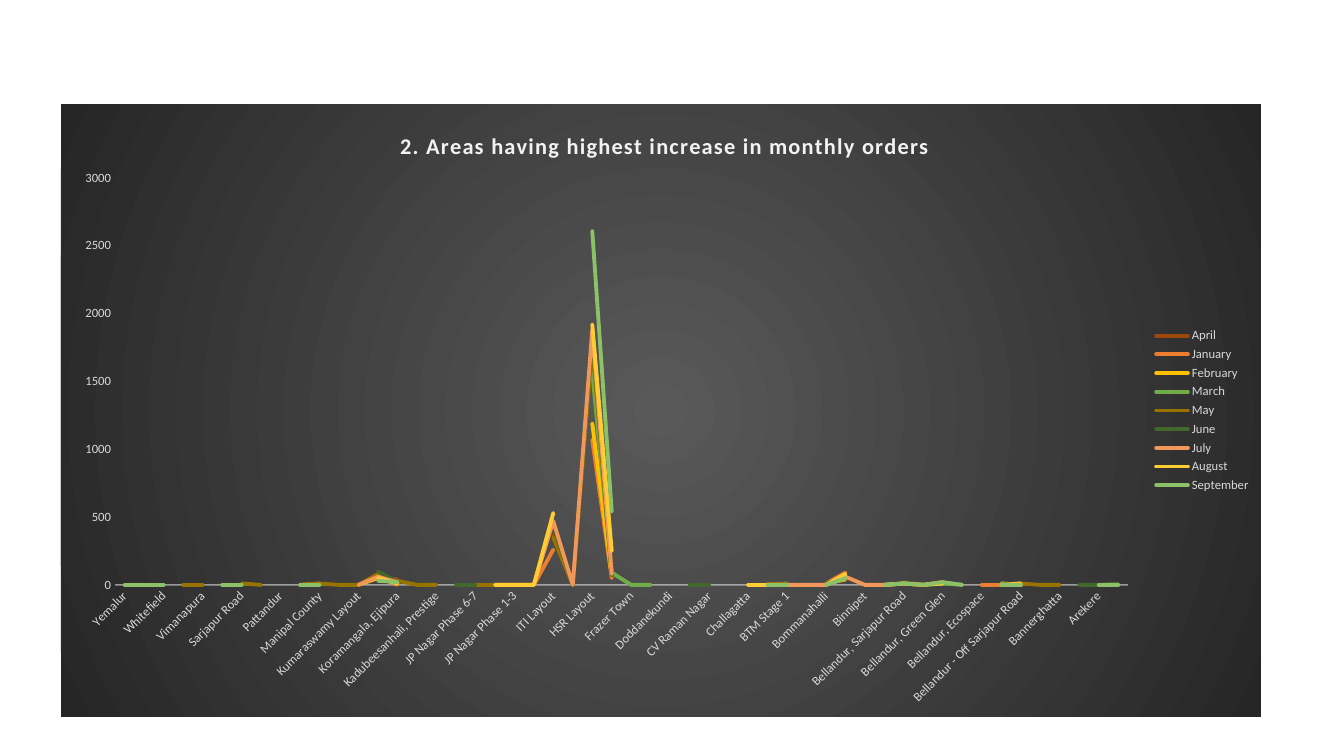
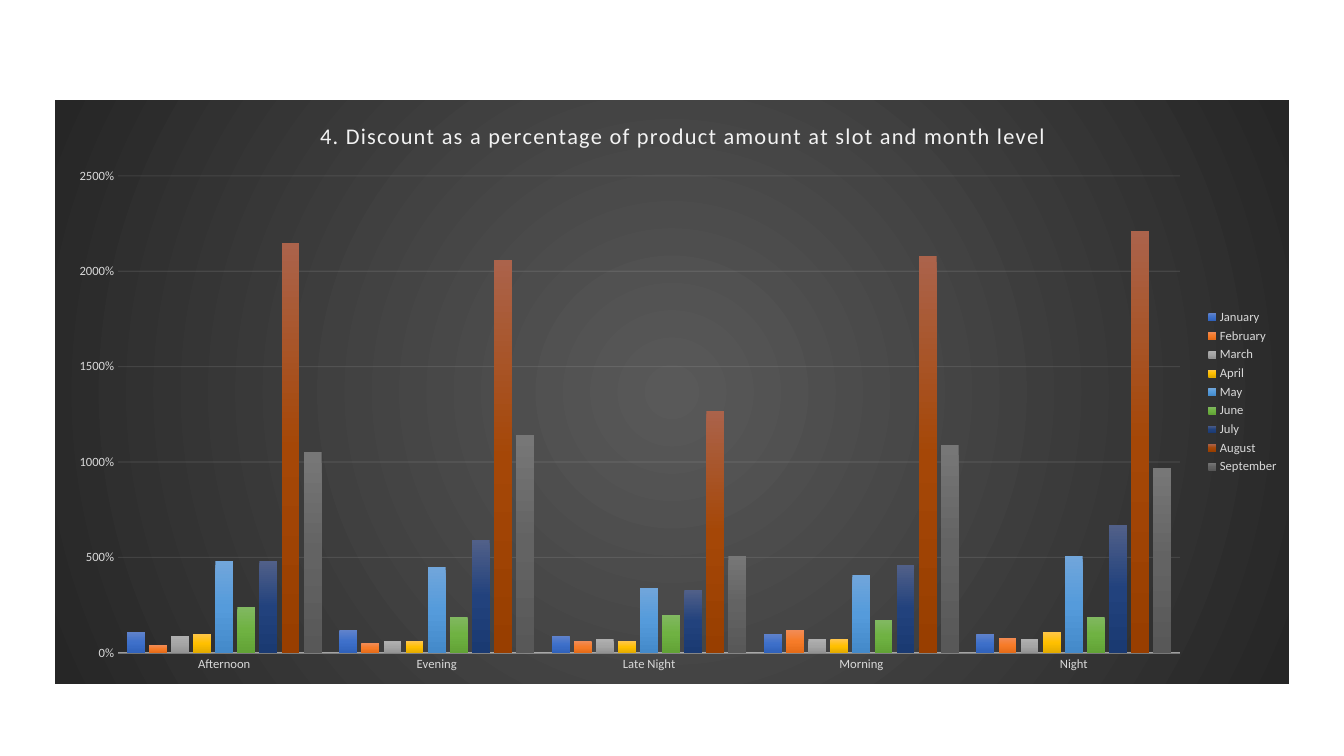
from lxml.etree import SubElement
from pptx import Presentation
from pptx.chart.data import CategoryChartData
from pptx.dml.color import RGBColor
from pptx.enum.chart import XL_CHART_TYPE as ChartType
from pptx.enum.chart import XL_LEGEND_POSITION as LegendPosition
from pptx.enum.chart import XL_TICK_MARK as TickMark
from pptx.oxml import parse_xml
from pptx.oxml.ns import nsdecls, qn
from pptx.util import Pt

EMU_PER_PX = 914400 / 100.8
SLIDE_SIZE = (1344, 756)
FONT = "Calibri"
LABEL_COLOR = "D9D9D9"
PALE = "F2F2F2"
BACKGROUND_STOPS = [(0, "595959"), (100, "262626")]
FROM_CENTER = ('<a:path path="circle"><a:fillToRect l="50000" t="50000" '
               'r="50000" b="50000"/></a:path>')
DOWNWARD = '<a:lin ang="5400000" scaled="0"/>'

AREAS = """Yemalur|Wilson Garden, Shantinagar|Whitefield|Viveka Nagar|Vimanapura|Victoria Layout
Sarjapur Road|Richmond Town|Pattandur|Marathahalli|Manipal County|Mahadevapura|Kumaraswamy Layout
Kudlu|Koramangala, Ejipura|Kadubeesanhali, PTP|Kadubeesanhali, Prestige|JP Nagar Phase 8-9
JP Nagar Phase 6-7|JP Nagar Phase 4-5|JP Nagar Phase 1-3|Jayanagar|ITI Layout|Indiranagar
HSR Layout|Harlur|Frazer Town|Domlur, EGL|Doddanekundi|Devarachikanna Halli|CV Raman Nagar
Cox Town|Challagatta|BTM Stage 2|BTM Stage 1|Brookefield|Bommanahalli|Bomannahali - MicoLayout
Binnipet|Bilekahalli|Bellandur, Sarjapur Road|Bellandur, Sakara|Bellandur, Green Glen
Bellandur, ETV|Bellandur, Ecospace|Bellandur, APR|Bellandur - Off Sarjapur Road|Basavanagudi
Bannerghatta|Banashankari Stage 2|Arekere|Akshaya Nagar""".replace("\n", "|").split("|")

# Month, line colour and orders per area; "-" marks an area without orders.
MONTHLY_ORDERS = [
    ("April", "9E480E", "0 - - 0 - - 0 - - - 10 - - 50 40 - - - - 0 0 - 370 0 1790 90 "
     "- 0 - 0 - - - 0 0 - 0 60 - - 20 0 20 - - 0 10 - - - 0 0"),
    ("January", "ED7D31", "- - - - - - 0 - - 0 10 - - 60 0 - - - - 0 0 0 260 - 1070 50 "
     "- 0 - 0 - - - 0 0 - 10 90 - 0 10 - 10 - 0 0 0 - 0 - 0 -"),
    ("February", "FFC000", "0 - - - - - - - - - 0 - 0 50 20 - 0 - 0 0 - - 250 - 1190 70 "
     "- - - 0 - - - 0 0 - 10 40 - - 0 - 10 - - 10 0 - - - - -"),
    ("March", "70AD47", "- 0 - - - - - - - - 0 - - 50 10 - 0 - 0 - 0 - 350 - 1570 90 "
     "0 0 - 0 - - - 0 10 - 0 50 - 0 10 0 10 0 - 10 0 - 0 - - 0"),
    ("May", "997300", "- 0 - 0 0 - 10 0 - 0 10 0 0 80 30 0 0 - 0 0 0 - 350 0 1770 70 "
     "- 0 - - - - - 10 10 - 10 50 - 0 10 0 20 - - 0 10 0 0 - 0 0"),
    ("June", "43682B", "0 - - 0 - - 0 - - - 20 - - 100 20 - - 0 0 - - - 440 0 1860 70 "
     "- - - 0 0 - - 0 0 - 10 60 - - 20 0 20 - - 0 10 - - 0 0 10"),
    ("July", "F1975A", "0 - - 0 - - 0 - - - 10 - 0 60 20 - 0 - - - - 0 470 0 1880 80 "
     "- - 0 - - 0 - 0 0 0 0 60 0 0 10 0 20 - - 0 0 - - 0 - -"),
    ("August", "FFCD33", "0 - - - - - - - 0 - 10 - - 50 10 - - - - 0 0 0 530 - 1920 250 "
     "- - 0 - - - 0 0 0 - 0 80 - 0 10 0 10 - - 0 10 - 0 - - 0"),
    ("September", "8CC168", "0 0 0 - - 0 0 - - 0 0 - - 30 20 - 0 - - - - - 920 - 2610 540 "
     "- 0 - 0 - - - 0 0 - 0 50 - 0 10 0 20 0 - 0 0 - - - 0 0"),
]

SLOTS = ["Afternoon", "Evening", "Late Night", "Morning", "Night"]
# Month, gradient colours from top to bottom, discount per slot.
MONTHLY_DISCOUNTS = [
    ("January", ("6183CB", "3E70CA", "3062BB"), (1.1, 1.2, 0.9, 1, 1)),
    ("February", ("F18C57", "F67B28", "E56C19"), (0.4, 0.5, 0.6, 1.2, 0.8)),
    ("March", ("AFAFAF", "A5A5A5", "939393"), (0.9, 0.6, 0.7, 0.7, 0.7)),
    ("April", ("FFC64B", "FFC000", "E3AB00"), (1, 0.6, 0.6, 0.7, 1.1)),
    ("May", ("71A6DB", "559BDB", "448ACA"), (4.8, 4.5, 3.4, 4.1, 5.1)),
    ("June", ("81B861", "6FB242", "62A336"), (2.4, 1.9, 2, 1.7, 1.9)),
    ("July", ("516089", "22427D", "1A3A72"), (4.8, 5.9, 3.3, 4.6, 6.7)),
    ("August", ("AB634B", "A54707", "983E00"), (21.5, 20.6, 12.7, 20.8, 22.1)),
    ("September", ("777777", "636363", "585858"), (10.5, 11.4, 5.1, 10.9, 9.7)),
]


def px(length):
    return round(length * EMU_PER_PX)


def rgb(color):
    return RGBColor.from_string(color)


def apply_format(target, values):
    for name, value in values.items():
        setattr(target, name, value)


def style_font(font, size, color, bold=False):
    apply_format(font, {"name": FONT, "size": Pt(size), "bold": bold})
    font.color.rgb = rgb(color)


def gradient(stops, direction):
    """Return a gradient fill element for (percent, colour) stops."""
    stop_list = "".join(
        f'<a:gs pos="{percent * 1000}"><a:srgbClr val="{color}"/></a:gs>'
        for percent, color in stops)
    return parse_xml(f'<a:gradFill {nsdecls("a")} rotWithShape="1">'
                     f'<a:gsLst>{stop_list}</a:gsLst>{direction}</a:gradFill>')


def style_line(chart, owner, line_format, width, opacity):
    """Draw a pale line; owner is the chart element's tag that holds it."""
    line_format.width = Pt(width)
    line_format.color.rgb = rgb(PALE)
    for color in chart.element.xpath(f".//{owner}/c:spPr/a:ln//a:srgbClr"):
        SubElement(color, qn("a:alpha")).set("val", str(opacity * 1000))


def set_layout(parent, index, frame, chart_box, inner=False):
    """Place a chart part; frame is (left, top[, width, height]) in slide px."""
    for layout in parent.findall(qn("c:layout")):
        parent.remove(layout)
    left, top, width, height = chart_box
    fractions = [(frame[0] - left) / width, (frame[1] - top) / height]
    fractions += [size / full for size, full in zip(frame[2:], (width, height))]
    target = '<c:layoutTarget val="inner"/>' if inner else ""
    modes = '<c:xMode val="edge"/><c:yMode val="edge"/>'
    values = "".join(f'<c:{key} val="{value:.4f}"/>' for key, value in zip("xywh", fractions))
    parent.insert(index, parse_xml(
        f'<c:layout {nsdecls("c")}><c:manualLayout>{target}{modes}{values}'
        '</c:manualLayout></c:layout>'))


def style_axes(chart, maximum, step, number_format):
    category_axis, value_axis = chart.category_axis, chart.value_axis
    for axis in (category_axis, value_axis):
        apply_format(axis, {"major_tick_mark": TickMark.NONE,
                            "minor_tick_mark": TickMark.NONE,
                            "has_major_gridlines": False})
        style_font(axis.tick_labels.font, 9, LABEL_COLOR)
    for body in chart.element.xpath(".//c:catAx/c:txPr/a:bodyPr"):
        body.set("rot", "-60000000")
    style_line(chart, "c:catAx", category_axis.format.line, 1, 54)
    apply_format(value_axis, {"minimum_scale": 0, "maximum_scale": maximum,
                              "major_unit": step})
    apply_format(value_axis.tick_labels, {"number_format": number_format,
                                          "number_format_is_linked": False})
    value_axis.format.line.fill.background()


def add_title(chart, text, position, chart_box, bold):
    chart.has_title = True
    paragraph = chart.chart_title.text_frame.paragraphs[0]
    run = paragraph.add_run()
    run.text = text
    style_font(run.font, 16, PALE, bold)
    for properties in chart.element.xpath("c:chart/c:title//a:rPr"):
        properties.set("spc", "100")
    title = chart.element.xpath("c:chart/c:title")[0]
    set_layout(title, 1, position, chart_box)


def add_dark_chart(presentation, kind, box, plot_box, categories, series_values):
    """Add a slide with a chart on a radial dark background."""
    slide = presentation.slides.add_slide(presentation.slide_layouts[6])
    data = CategoryChartData()
    data.categories = categories
    for name, values in series_values:
        data.add_series(name, values)
    chart = slide.shapes.add_chart(kind, *map(px, box), data).chart
    style_font(chart.font, 10, "000000")
    chart.has_legend = True
    apply_format(chart.legend, {"position": LegendPosition.RIGHT,
                                "include_in_layout": False})
    style_font(chart.legend.font, 9, LABEL_COLOR)
    chart.plots[0].vary_by_categories = False
    set_layout(chart.element.xpath("c:chart/c:plotArea")[0], 0, plot_box, box, inner=True)
    properties = parse_xml(f'<c:spPr {nsdecls("c", "a")}><a:ln><a:noFill/></a:ln></c:spPr>')
    properties.insert(0, gradient(BACKGROUND_STOPS, FROM_CENTER))
    chart.element.xpath("c:chart")[0].addnext(properties)
    return chart


def add_orders_slide(presentation):
    box = (61, 104, 1200, 613)
    series_values = [
        (month, [None if value == "-" else int(value) for value in orders.split()])
        for month, _, orders in MONTHLY_ORDERS]
    chart = add_dark_chart(presentation, ChartType.LINE, box, (115, 178, 1013, 407),
                           AREAS, series_values)
    add_title(chart, "2. Areas having highest increase in monthly orders",
              (396, 127), box, bold=True)
    style_axes(chart, 3000, 500, "General")
    for series, (_, color, _) in zip(chart.plots[0].series, MONTHLY_ORDERS):
        series.smooth = False
        series.format.line.width = Pt(2.75)
        series.format.line.color.rgb = rgb(color)
    for line in chart.element.xpath(".//c:ser/c:spPr/a:ln"):
        line.set("cap", "rnd")


def add_discount_slide(presentation):
    box = (55, 100, 1234, 584)
    series_values = [(month, values) for month, _, values in MONTHLY_DISCOUNTS]
    chart = add_dark_chart(presentation, ChartType.COLUMN_CLUSTERED, box,
                           (118, 176, 1062, 477), SLOTS, series_values)
    add_title(chart, "4. Discount as a percentage of product amount at slot and month level",
              (316, 117), box, bold=False)
    style_axes(chart, 25, 5, "0%")
    chart.value_axis.has_major_gridlines = True
    style_line(chart, "c:majorGridlines", chart.value_axis.major_gridlines.format.line, 0.75, 10)
    apply_format(chart.plots[0], {"gap_width": 100, "overlap": -24})
    for series, (_, colors, _) in zip(chart.element.xpath(".//c:ser"), MONTHLY_DISCOUNTS):
        stops = zip((0, 50, 100), colors)
        series.get_or_add_spPr().append(gradient(stops, DOWNWARD))


def main():
    presentation = Presentation()
    width, height = map(px, SLIDE_SIZE)
    apply_format(presentation, {"slide_width": width, "slide_height": height})
    add_orders_slide(presentation)
    add_discount_slide(presentation)
    presentation.save("out.pptx")


if __name__ == "__main__":
    main()
